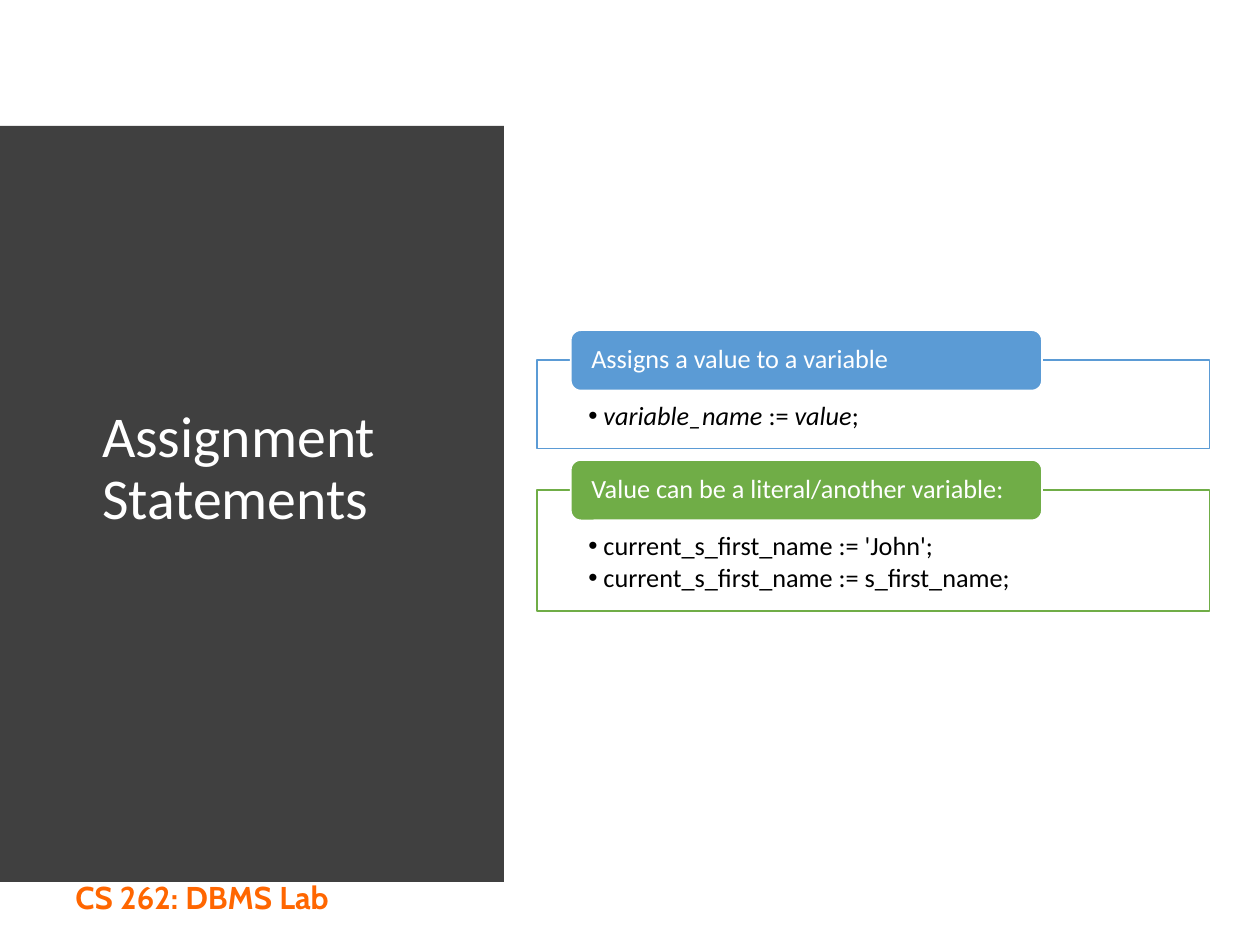
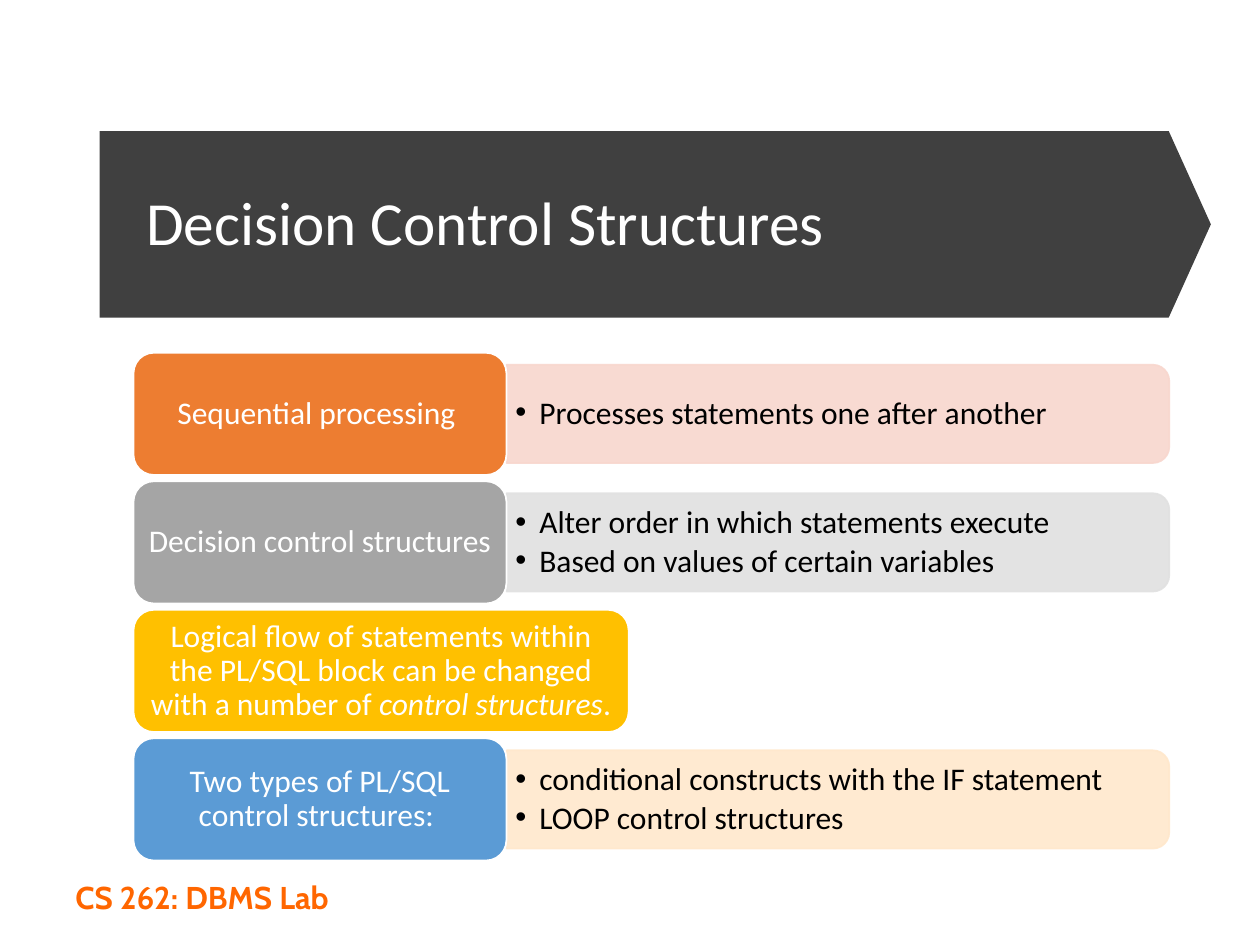
from lxml.etree import SubElement
from pptx import Presentation
from pptx.dml.color import RGBColor
from pptx.enum.shapes import MSO_SHAPE
from pptx.enum.text import MSO_ANCHOR, MSO_AUTO_SIZE, PP_ALIGN
from pptx.oxml.ns import qn
from pptx.util import Inches, Pt

COLORS = {
    "white": "FFFFFF", "black": "000000", "band": "404040", "footer": "FF6600",
    "blue": "5B9BD5", "green": "70AD47", "orange": "ED7D31", "gray": "A5A5A5",
    "gold": "FFC000", "pale_red": "F8D7CE", "pale_gray": "E1E1E1",
    "pale_orange": "FFE8CC",
}
BODY_FONT, FOOTER_FONT = "Calibri", "Cabin"
FOOTER = "CS 262: DBMS Lab"
DEFAULT_INSETS = (0.1, 0.05, 0.1, 0.05)
ROW_INSETS = (0.07, 0.04, 0.07, 0.04)

# Words between asterisks are italic.
ASSIGNMENT_TITLE = "Assignment Statements"
ASSIGNMENT_CARDS = [
    # heading, color, frame top, frame height, bullets
    ("Assigns a value to a variable", "blue", 2.86, 0.7,
     ["*variable_name* := *value*;"]),
    ("Value can be a literal/another variable:", "green", 3.89, 0.96,
     ["current_s_first_name := 'John';",
      "current_s_first_name := s_first_name;"]),
]
DECISION_TITLE = "Decision Control Structures"
DECISION_ROWS = [
    # label, label color, label width, bar color, bullets
    ("Sequential processing ", "orange", 2.96, "pale_red",
     ["Processes statements one after another"]),
    ("Decision control structures ", "gray", 2.96, "pale_gray",
     ["Alter order in which statements execute",
      "Based on values of certain variables"]),
    ("Logical flow of statements within the PL/SQL block can be changed "
     "with a number of *control structures*. ", "gold", 3.93, None, []),
    ("Two types of PL/SQL control structures: ", "blue", 2.96, "pale_orange",
     ["conditional constructs with the IF statement",
      "LOOP control structures"]),
]

PANEL_LEFT, PANEL_TOP, PANEL_BOTTOM = 0.4, 0.52, 6.96
PANEL_EDGE = [
    (3.81, 0.52), (3.84, 0.74), (3.87, 1.04), (3.9, 1.34), (3.92, 1.64),
    (3.94, 1.94), (3.96, 2.24), (3.97, 2.53), (3.98, 2.82), (3.99, 3.25),
    (3.99, 3.94), (3.98, 4.33), (3.97, 4.71), (3.96, 4.95), (3.95, 5.18),
    (3.94, 5.4), (3.93, 5.61), (3.91, 5.81), (3.9, 5.99), (3.88, 6.17),
    (3.87, 6.33), (3.85, 6.61), (3.83, 6.72), (3.81, 6.96),
]


def color(name):
    return RGBColor.from_string(COLORS[name])


def write_text(shape, paragraphs, *, size, font=BODY_FONT, fill="white",
               bold=None, align=PP_ALIGN.LEFT, anchor=MSO_ANCHOR.MIDDLE,
               insets=DEFAULT_INSETS, line_spacing=0.9, bullet_indent=None):
    frame = shape.text_frame
    frame.word_wrap = True
    frame.auto_size = MSO_AUTO_SIZE.NONE
    frame.vertical_anchor = anchor
    (frame.margin_left, frame.margin_top,
     frame.margin_right, frame.margin_bottom) = map(Inches, insets)
    for index, text in enumerate(paragraphs):
        paragraph = frame.add_paragraph() if index else frame.paragraphs[0]
        paragraph.alignment = align
        paragraph.line_spacing = line_spacing
        if bullet_indent:
            paragraph.space_after = Pt(0.15 * size)
            add_bullet(paragraph, bullet_indent)
        for part, words in enumerate(text.split("*")):
            if not words:
                continue
            run = paragraph.add_run()
            run.text = words
            run.font.name = font
            run.font.size = Pt(size)
            run.font.bold = bold
            run.font.italic = part % 2 == 1
            run.font.color.rgb = color(fill)


def add_bullet(paragraph, indent):
    properties = paragraph._p.get_or_add_pPr()
    properties.set("marL", str(Inches(indent)))
    properties.set("indent", str(-Inches(indent)))
    SubElement(properties, qn("a:buFont")).set("typeface", "Arial")
    SubElement(properties, qn("a:buChar")).set("char", "•")


def paint(shape, fill, line=None):
    shape.shadow.inherit = False
    shape.fill.solid()
    shape.fill.fore_color.rgb = color(fill)
    if line:
        shape.line.color.rgb = color(line)
        shape.line.width = Pt(1)
    else:
        shape.line.fill.background()


def make_translucent(shape, include_line=False):
    """Let a tenth of the background through the fill, and the line if asked."""
    query = ".//a:srgbClr" if include_line else "a:solidFill/a:srgbClr"
    for element in shape.element.spPr.xpath(query):
        SubElement(element, qn("a:alpha")).set("val", "90000")


def add_shape(slide, kind, box, fill, line=None):
    shape = slide.shapes.add_shape(kind, *map(Inches, box))
    paint(shape, fill, line)
    return shape


def add_turned_shape(slide, kind, box, rotation, fill, line=None):
    """Add a shape on its side so that, once turned, it fills the box."""
    left, top, width, height = box
    shift = (width - height) / 2
    shape = add_shape(slide, kind, (left + shift, top - shift, height, width),
                      fill, line)
    shape.rotation = rotation
    return shape


def add_text_box(slide, box, paragraphs, **text_format):
    text_box = slide.shapes.add_textbox(*map(Inches, box))
    write_text(text_box, paragraphs, **text_format)


def start_slide(presentation):
    slide = presentation.slides.add_slide(presentation.slide_layouts[5])
    add_text_box(slide, (0.5, 6.92, 3.25, 0.4), [FOOTER], size=18,
                 font=FOOTER_FONT, fill="footer", bold=True,
                 anchor=MSO_ANCHOR.TOP, line_spacing=1.0)
    return slide


def place_title(slide, text, box, size):
    title = slide.shapes.title
    title.left, title.top, title.width, title.height = map(Inches, box)
    write_text(title, [text], size=size)
    # Bring the title in front of its band.
    title.element.getparent().append(title.element)


def add_curved_panel(slide):
    builder = slide.shapes.build_freeform(PANEL_LEFT, PANEL_TOP,
                                          scale=Inches(1))
    builder.add_line_segments(PANEL_EDGE + [(PANEL_LEFT, PANEL_BOTTOM)],
                              close=True)
    paint(builder.convert_to_shape(), "band")


def build_assignment_slide(presentation):
    slide = start_slide(presentation)
    add_curved_panel(slide)
    place_title(slide, ASSIGNMENT_TITLE, (0.71, 1.11, 2.8, 5.24), 33)
    for heading, accent, top, height, bullets in ASSIGNMENT_CARDS:
        frame = add_shape(slide, MSO_SHAPE.RECTANGLE,
                          (4.26, top, 5.34, height), "white", accent)
        make_translucent(frame)
        write_text(frame, bullets, size=15, fill="black",
                   anchor=MSO_ANCHOR.TOP, insets=(0.41, 0.34, 0.41, 0.12),
                   bullet_indent=0.12)
        tab = add_shape(slide, MSO_SHAPE.ROUNDED_RECTANGLE,
                        (4.53, top - 0.24, 3.74, 0.48), accent, "white")
        write_text(tab, [heading], size=15, insets=(0.14, 0, 0.14, 0))


def build_decision_slide(presentation):
    slide = start_slide(presentation)
    arrow = add_turned_shape(slide, MSO_SHAPE.DOWN_ARROW,
                             (0.79, 1.04, 8.82, 1.48), 270, "band")
    arrow.adjustments[0] = 1
    arrow.adjustments[1] = 0.226
    place_title(slide, DECISION_TITLE, (1.06, 1.32, 8.22, 0.94), 35)

    first_top, pitch, label_left, label_height = 2.8, 1.02, 1.06, 0.97
    bar_width, bar_height, bar_padding = 5.26, 0.78, 0.04
    for index, (label, accent, width, tint, bullets) in enumerate(DECISION_ROWS):
        top = first_top + index * pitch
        if bullets:
            bar_left = label_left + width
            bar_top = top + (label_height - bar_height) / 2
            bar = add_turned_shape(slide, MSO_SHAPE.ROUND_2_SAME_RECTANGLE,
                                   (bar_left, bar_top, bar_width, bar_height),
                                   90, tint, tint)
            make_translucent(bar, include_line=True)
            add_text_box(slide, (bar_left, bar_top + bar_padding,
                                 bar_width - bar_padding,
                                 bar_height - 2 * bar_padding),
                         bullets, size=18, fill="black", insets=ROW_INSETS,
                         bullet_indent=0.19)
        label_shape = add_shape(slide, MSO_SHAPE.ROUNDED_RECTANGLE,
                                (label_left, top, width, label_height),
                                accent, "white")
        write_text(label_shape, [label], size=18, align=PP_ALIGN.CENTER,
                   insets=ROW_INSETS)


def main():
    presentation = Presentation()
    presentation.slide_width = Inches(10)
    presentation.slide_height = Inches(7.5)
    build_assignment_slide(presentation)
    build_decision_slide(presentation)
    presentation.save("out.pptx")


if __name__ == "__main__":
    main()
